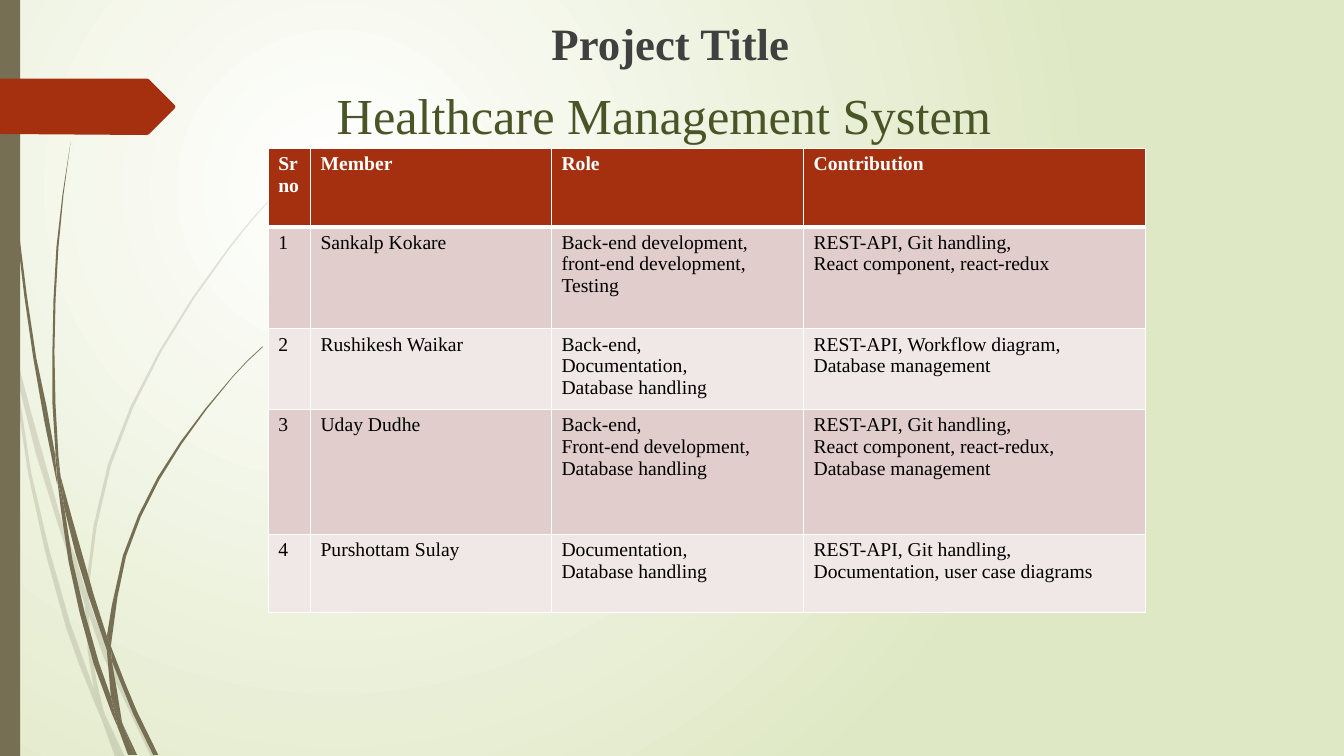
from lxml.etree import SubElement
from pptx import Presentation
from pptx.dml.color import RGBColor as Rgb
from pptx.enum.shapes import MSO_SHAPE as Kind
from pptx.enum.text import PP_ALIGN as Align
from pptx.oxml.ns import qn
from pptx.util import Emu, Pt

PX = 9144
FONT = "Times New Roman"
HUES = {
    "white": "FFFFFF", "mist": "DFE8C4", "bark": "766F54", "rust": "A53010",
    "grey": "404040", "moss": "495526", "black": "000000",
    "rose": "E1CDCC", "pale": "F0E8E7",
}
FAINT = [
    "11,350 9,322 0,282 0,299 10,344",
    "58,522 84,599 85,586 62,520 14,345 17,376",
    "92,607 88,596 88,610 123,694 150,751 155,751 127,692",
    "119,751 124,751 105,711",
    "93,683 70,619 31,469 17,376 11,350 28,470 65,621 92,693 101,714 99,707",
    "84,599 87,646 93,683 96,692 105,711 103,706 91,646 88,610 88,608",
    "88,584 110,462 160,349 229,245 268,198 290,175 312,154 312,153 289,175 "
    "268,197 228,244 158,348 107,461 85,584 85,586 88,596",
    "101,714 114,751 119,751",
    "88,608 88,610 88,596 85,586 84,599",
    "96,692 93,683 99,707 101,714 119,751 105,711",
]
DARK = [
    "7,110 17,233 33,355 56,477 57,481 55,457 55,453 36,355 19,232 8,109 "
    "5,48 4,0 3,0 4,48",
    "88,592 106,645 106,633 106,631 93,590 60,472 64,505",
    "113,649 110,641 111,656 132,708 152,749 157,749 136,706",
    "110,691 98,657 72,556 64,505 57,477 68,557 93,659 111,708 117,722 116,717",
    "60,472 58,453 54,349 58,245 63,193 70,141 62,193 56,245 52,349 55,449",
    "133,749 136,749 122,719",
    "57,477 64,505 60,472 55,449 55,453",
    "111,633 125,552 158,476 205,406 231,374 245,359 261,344 260,344 245,358 "
    "231,373 204,405 156,474 122,551 106,631 110,641",
    "117,722 127,749 131,749",
    "106,645 110,691 116,706 122,719 121,716 111,656 109,651",
    "106,645 109,651 111,656 110,641 106,631 106,633",
    "116,706 110,691 116,717 117,722 130,749 133,749 122,719",
]
ARROW = "0,78 146,78 148,79 173,104 174,106 173,108 148,133 146,134 0,133"
COLS = [42, 239, 250, 339]
ROWS = [78, 101, 78, 124, 78]
TEAM = [
    ["Sr no", "Member", "Role", "Contribution"],
    ["1", "Sankalp Kokare",
     "Back-end development, front-end development,\nTesting",
     "REST-API, Git handling,\nReact component, react-redux"],
    ["2", "Rushikesh Waikar",
     "Back-end,\nDocumentation,\nDatabase handling",
     "REST-API, Workflow diagram,\nDatabase management"],
    ["3", "Uday Dudhe",
     "Back-end,\nFront-end development,\nDatabase handling",
     "REST-API, Git handling,\nReact component, react-redux,\nDatabase management"],
    ["4", "Purshottam Sulay",
     "Documentation,\nDatabase handling",
     "REST-API, Git handling,\nDocumentation, user case diagrams"],
]


def px(*sizes):
    return [Emu(round(size * PX)) for size in sizes]


def hue(name):
    return Rgb.from_string(HUES[name])


def paint(shape, name):
    shape.shadow.inherit = False
    shape.fill.solid()
    shape.fill.fore_color.rgb = hue(name)
    shape.line.fill.background()


def read(text):
    return [complex(*map(int, pair.split(","))) for pair in text.split()]


def lean(last, here, after):
    one, two = here - last, after - here
    one, two = one / abs(one), two / abs(two)
    smooth = (one.conjugate() * two).real > 0.85
    return (one + two) / abs(one + two) if smooth else 0


def curve(spots):
    count = len(spots)
    leans = [lean(spots[i - 1], spots[i], spots[(i + 1) % count])
             for i in range(count)]
    out = []
    for i in range(count):
        j = (i + 1) % count
        start, end = spots[i], spots[j]
        reach = abs(end - start) / 3
        near, far = start + leans[i] * reach, end - leans[j] * reach
        steps = 1 if reach < 20 else 2
        for step in range(steps):
            t = step / steps
            u = 1 - t
            out.append(u**3 * start + 3 * u * u * t * near
                       + 3 * u * t * t * far + t**3 * end)
    return out


def outline(slide, box, spots, name):
    left, top = box[:2]
    marks = [px(left + spot.real, top + spot.imag) for spot in spots]
    form = slide.shapes.build_freeform(*marks[0], scale=1.0)
    form.add_line_segments(marks[1:], close=True)
    shape = form.convert_to_shape()
    paint(shape, name)
    return shape


def wisps(slide, box, strands, alpha=100):
    parts = [outline(slide, box, curve(read(text)), "bark") for text in strands]
    for part in parts if alpha < 100 else []:
        tint = part.fill._xPr.find(qn("a:solidFill"))[0]
        SubElement(tint, qn("a:alpha")).set("val", str(alpha * 1000))
    slide.shapes.add_group_shape(parts)


def backdrop(slide):
    fill = slide.background.fill
    fill.gradient()
    for stop, name in zip(fill.gradient_stops, ("white", "mist")):
        stop.color.rgb = hue(name)
    grad = slide._element.find(".//" + qn("a:gradFill"))
    grad.remove(grad.find(qn("a:lin")))
    ring = SubElement(grad, qn("a:path"), {"path": "circle"})
    SubElement(ring, qn("a:fillToRect"),
               {"l": "50000", "t": "50000", "r": "100000", "b": "100000"})


def edge(slide, box):
    left, top, wide, high = box
    wisps(slide, box, FAINT, 20)
    wisps(slide, box, DARK)
    bar = slide.shapes.add_shape(Kind.RECTANGLE, *px(left, top, wide, high))
    paint(bar, "bark")
    outline(slide, box, read(ARROW), "rust")


def heading(slide, box):
    frame = slide.shapes.add_textbox(*px(*box)).text_frame
    frame.word_wrap = True
    frame.text = "Project Title\nHealthcare Management System "
    looks = [(32, "grey", True), (36, "moss", False)]
    for para, (size, name, bold) in zip(frame.paragraphs, looks):
        para.alignment = Align.CENTER
        para.space_before = Pt(10)
        style(para.font, size, name, bold)


def style(font, size, name, bold):
    font.name, font.size, font.bold = FONT, Pt(size), bold
    font.color.rgb = hue(name)


def border(cell, row):
    props = cell._tc.get_or_add_tcPr()
    widths = {"L": 1, "R": 1, "T": 3 if row == 1 else 1, "B": 3 if row == 0 else 1}
    for spot, (side, width) in enumerate(widths.items()):
        line = props.makeelement(qn("a:ln" + side), {"w": str(Pt(width))})
        props.insert(spot, line)
        solid = SubElement(line, qn("a:solidFill"))
        SubElement(solid, qn("a:srgbClr")).set("val", HUES["white"])


def roster(slide, box):
    grid = slide.shapes.add_table(len(ROWS), len(COLS), *px(*box)).table
    for col, width in zip(grid.columns, px(*COLS)):
        col.width = width
    for row, height in zip(grid.rows, px(*ROWS)):
        row.height = height
    for i, texts in enumerate(TEAM):
        head = i == 0
        for j, text in enumerate(texts):
            cell = grid.cell(i, j)
            cell.text = text
            cell.fill.solid()
            cell.fill.fore_color.rgb = hue(
                "rust" if head else "rose" if i % 2 else "pale")
            border(cell, i)
            for para in cell.text_frame.paragraphs:
                style(para.font, 14, "white" if head else "black", head)


def main():
    deck = Presentation()
    deck.slide_width, deck.slide_height = px(1333, 750)
    slide = deck.slides.add_slide(deck.slide_layouts[6])
    backdrop(slide)
    edge(slide, (0, 0, 20, 750))
    heading(slide, (71, 11, 1188, 636))
    roster(slide, (266, 147, sum(COLS), sum(ROWS)))
    deck.save("out.pptx")


if __name__ == "__main__":
    main()
